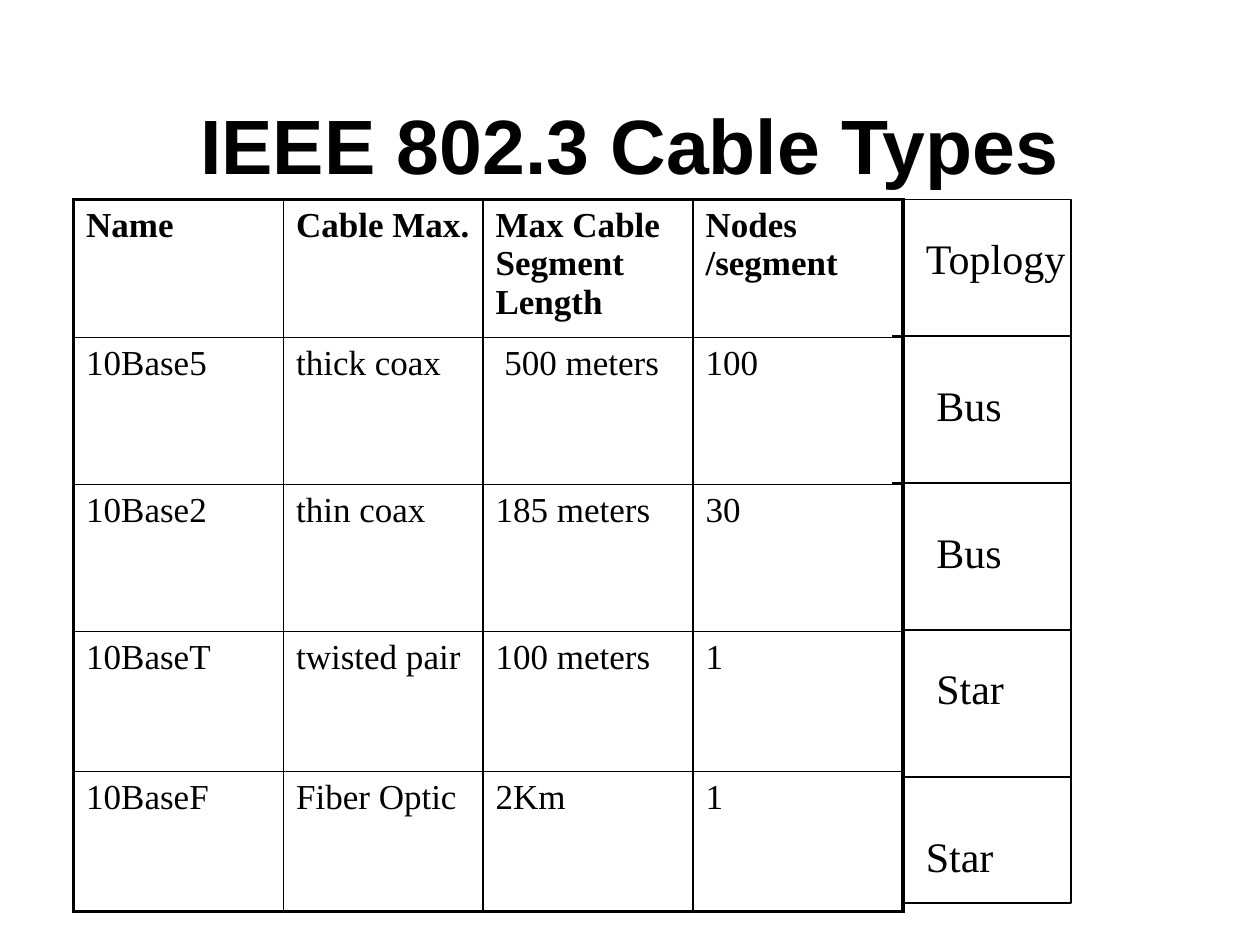
from dataclasses import dataclass

from lxml.etree import SubElement
from pptx import Presentation
from pptx.dml.color import RGBColor
from pptx.enum.shapes import MSO_CONNECTOR, MSO_SHAPE
from pptx.enum.text import MSO_ANCHOR, PP_ALIGN
from pptx.oxml import parse_xml
from pptx.oxml.ns import nsdecls, qn
from pptx.util import Pt

BLACK = "000000"
SERIF = "Times New Roman"
THIN, THICK = 1, 2.25
TABLE_LEFT, TABLE_TOP = 42, 114
COLUMN_WIDTHS = [120, 114, 120, 120]
ROW_HEIGHTS = [79, 84, 84, 80, 80]
CABLES = [
    ["Name", "Cable Max.", "Max Cable Segment Length", "Nodes /segment"],
    ["10Base5", "thick coax", " 500 meters", "100"],
    ["10Base2", "thin coax", "185 meters", "30"],
    ["10BaseT", "twisted pair", "100 meters", "1"],
    ["10BaseF", "Fiber Optic", "2Km", "1"],
]


@dataclass
class Label:
    text: str
    left: float
    top: float
    width: float = 78


@dataclass
class Divider:
    left: float
    top: float


TOPOLOGY_LEFT, TOPOLOGY_RIGHT = 516, 612
LABELS = [
    Label("Toplogy", 522, 126, 132),
    Label("Bus", 528, 210),
    Label("Bus", 528, 294),
    Label("Star", 528, 372),
    Label("Star", 522, 468),
]
DIVIDERS = [Divider(left, 192 + 84 * index)
            for index, left in enumerate([510, 510, TOPOLOGY_LEFT, TOPOLOGY_LEFT])]


def color(value: str) -> RGBColor:
    return RGBColor.from_string(value)


def style_text(frame, size: float, name: str = SERIF, bold: bool = False) -> None:
    for para in frame.paragraphs:
        para.space_before = Pt(0)
        for span in para.runs:
            span.font.size = Pt(size)
            span.font.name = name
            span.font.bold = bold
            span.font.color.rgb = color(BLACK)


def set_borders(cell, widths: dict[str, float]) -> None:
    properties = cell._tc.get_or_add_tcPr()
    for index, (side, width) in enumerate(widths.items()):
        properties.insert(index, parse_xml(
            f'<a:ln{side} {nsdecls("a")} w="{Pt(width)}"><a:solidFill>'
            f'<a:srgbClr val="{BLACK}"/></a:solidFill></a:ln{side}>'))


def add_title(page, text: str) -> None:
    title = page.shapes.title
    title.left, title.top, title.width, title.height = Pt(54), Pt(48), Pt(612), Pt(90)
    frame = title.text_frame
    frame.text = text
    frame.vertical_anchor = MSO_ANCHOR.TOP
    frame.margin_top = Pt(8)
    frame.paragraphs[0].alignment = PP_ALIGN.CENTER
    style_text(frame, 44, "Arial", True)


def add_cable_table(page) -> None:
    table = page.shapes.add_table(
        len(CABLES), len(COLUMN_WIDTHS), Pt(TABLE_LEFT), Pt(TABLE_TOP),
        Pt(sum(COLUMN_WIDTHS)), Pt(sum(ROW_HEIGHTS))).table
    table.first_row = table.horz_banding = False
    for column, width in zip(table.columns, COLUMN_WIDTHS):
        column.width = Pt(width)
    last_row, last_column = len(CABLES) - 1, len(COLUMN_WIDTHS) - 1
    for row, values in enumerate(CABLES):
        table.rows[row].height = Pt(ROW_HEIGHTS[row])
        for column, value in enumerate(values):
            cell = table.cell(row, column)
            cell.text_frame.text = value
            style_text(cell.text_frame, 20, bold=row == 0)
            cell.fill.background()
            set_borders(cell, {
                "L": THICK if column == 0 else THIN,
                "R": THICK if column == last_column else THIN,
                "T": THICK if row == 0 else THIN,
                "B": THICK if row == last_row else THIN,
            })


def set_line(shape) -> None:
    shape.line.color.rgb = color(BLACK)
    shape.line.width = Pt(0.75)


def add_frame(page) -> None:
    box = page.shapes.add_shape(
        MSO_SHAPE.RECTANGLE, Pt(TOPOLOGY_LEFT), Pt(TABLE_TOP),
        Pt(TOPOLOGY_RIGHT - TOPOLOGY_LEFT), Pt(402))
    box.shadow.inherit = False
    box.fill.background()
    set_line(box)


def add_divider(page, divider: Divider) -> None:
    line = page.shapes.add_connector(
        MSO_CONNECTOR.STRAIGHT, Pt(divider.left), Pt(divider.top),
        Pt(TOPOLOGY_RIGHT), Pt(divider.top))
    set_line(line)
    SubElement(line._element.spPr, qn("a:effectLst"))


def add_label(page, label: Label) -> None:
    box = page.shapes.add_textbox(
        Pt(label.left), Pt(label.top), Pt(label.width), Pt(29))
    frame = box.text_frame
    frame.word_wrap = True
    frame.margin_top = Pt(6.6)
    frame.text = label.text
    style_text(frame, 24)


def main() -> None:
    deck = Presentation()
    deck.slide_width, deck.slide_height = Pt(720), Pt(540)
    page = deck.slides.add_slide(deck.slide_layouts[5])

    # Title and cable table
    add_title(page, "IEEE 802.3 Cable Types")
    add_cable_table(page)

    # Topology column beside the table
    add_frame(page)
    for divider in DIVIDERS:
        add_divider(page, divider)
    for label in LABELS:
        add_label(page, label)

    deck.save("out.pptx")


if __name__ == "__main__":
    main()
